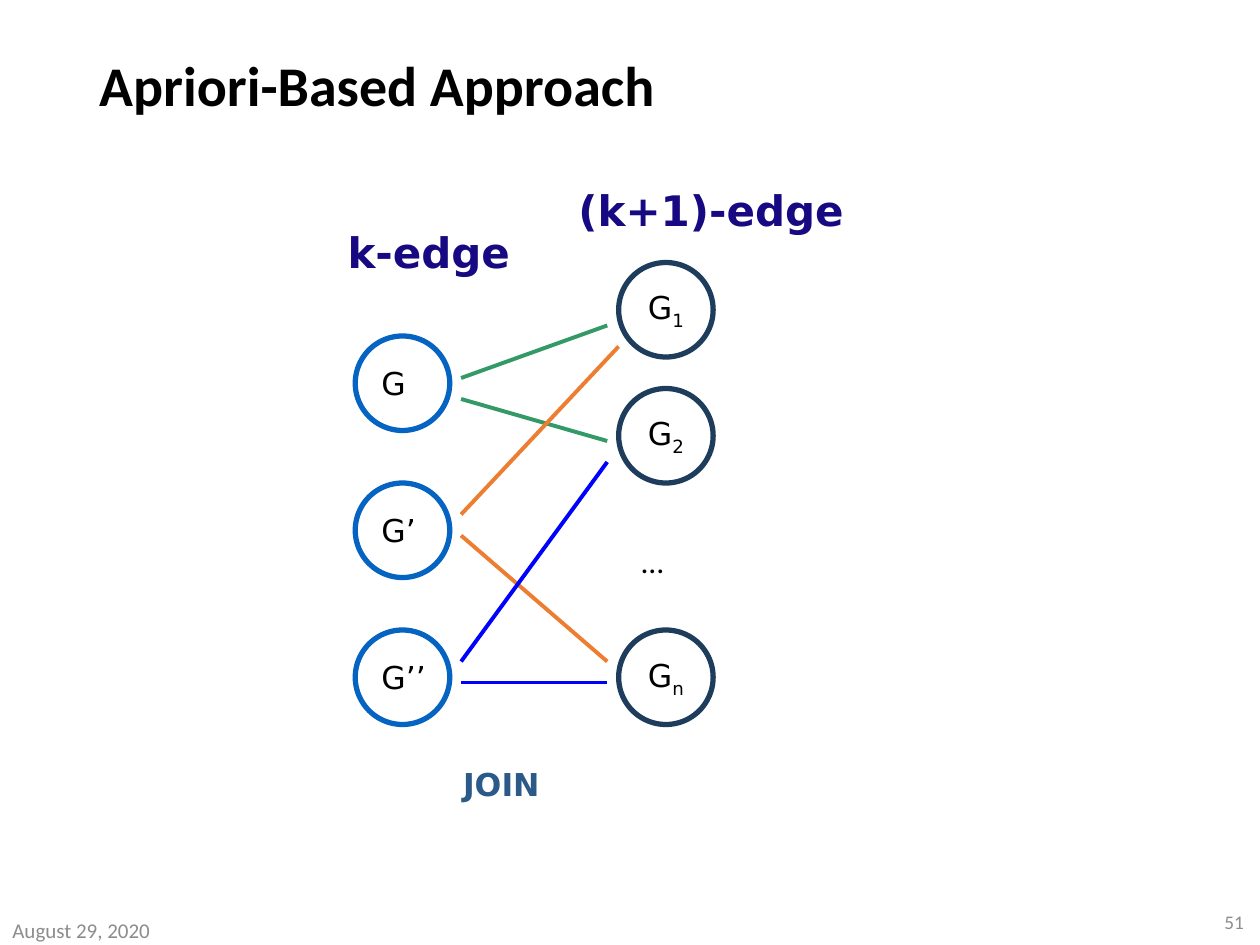
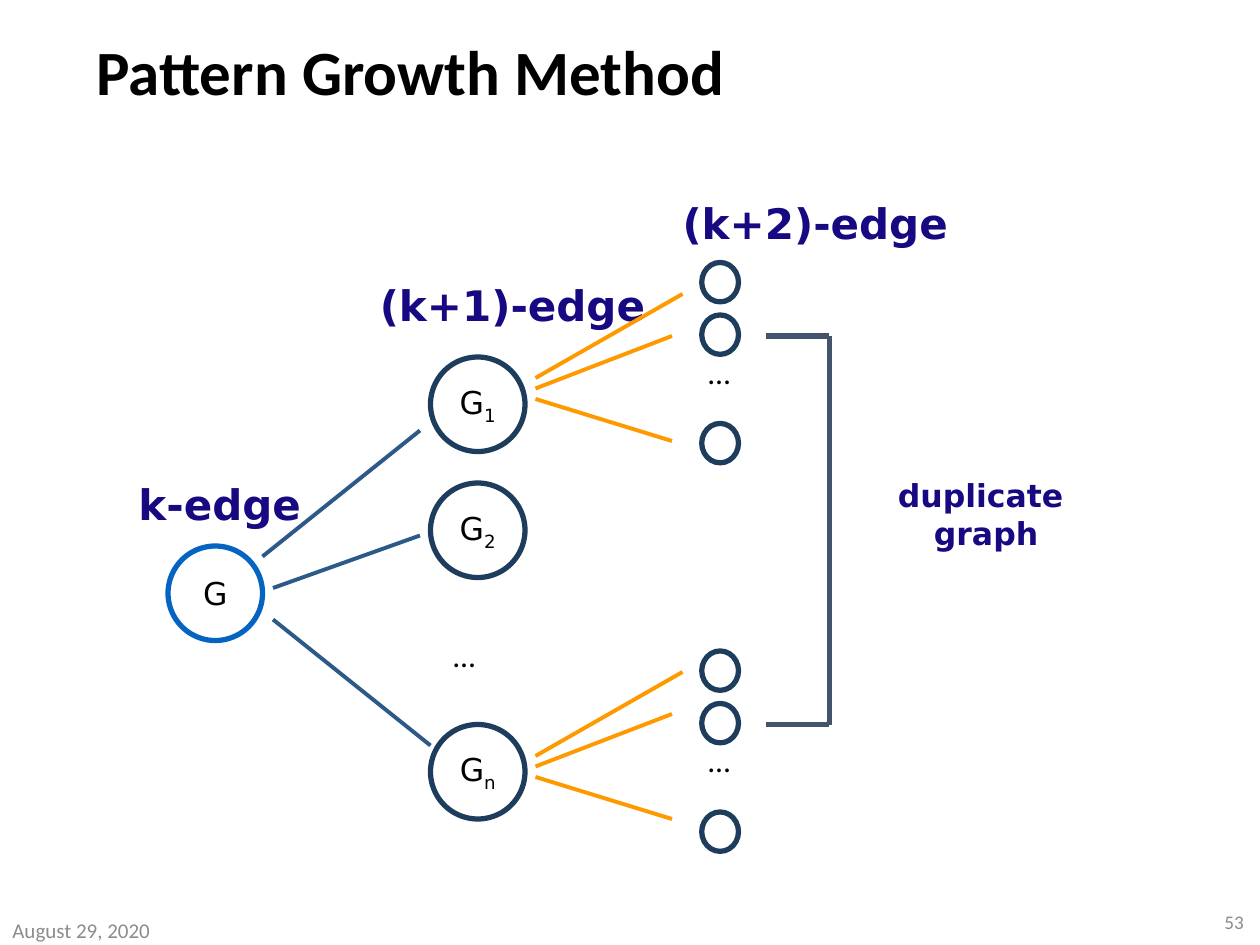
import pptx
import pptx.util
import pptx.dml.color
import pptx.enum.shapes
import pptx.enum.text
import pptx.oxml

Pt = pptx.util.Pt
ALIGN = pptx.enum.text.PP_ALIGN
ANCHOR = pptx.enum.text.MSO_ANCHOR
AUTO_SIZE = pptx.enum.text.MSO_AUTO_SIZE
OVAL = pptx.enum.shapes.MSO_SHAPE.OVAL
STRAIGHT = pptx.enum.shapes.MSO_CONNECTOR.STRAIGHT

# Shared look
BODY, DIAGRAM = "Calibri", "DejaVu Sans"
BLACK, WHITE, GREY = "000000", "FFFFFF", "8C8C8C"
INDIGO, STEEL, SLATE = "170981", "2C5A88", "44546A"
PARENT, CHILD = "0563C1", "1E3D5C"
GREEN, ORANGE, BLUE, AMBER = "339966", "ED7D31", "0000FF", "FF9900"
DATE = "August 29, 2020"
NODE = 54
LEVEL_SIZE = {"k-edge": (107, 36), "(k+1)-edge": (171.5, 36), "(k+2)-edge": (171.5, 36)}

# Children of a pattern: subscript and drop below the first child
CHILDREN = [("1", 0), ("2", 72), ("n", 210)]
CHILD_DOTS = (6, 156)

# Slide "Apriori-Based Approach": text, top
JOINED_X = 203
JOINED = [("G", 192), ("G’", 276), ("G’’", 360)]
JOIN_CHILDREN = (353.5, 150)
JOIN_EDGES = [
    (GREEN, (263.5, 216), (347, 186)),
    (ORANGE, (263.5, 306), (347, 378)),
    (GREEN, (263.5, 228), (347, 252)),
    (ORANGE, (263.5, 294), (353.5, 198)),
    (BLUE, (263.5, 390), (347, 390)),
    (BLUE, (263.5, 378), (347, 264)),
]
JOIN_LEVELS = [("k-edge", 191.5, 126), ("(k+1)-edge", 323.5, 102)]

# Slide "Pattern Growth Method"
GROWTH_ROOT = (96, 312)
GROWTH_CHILDREN = (246, 204)
GROWTH_EDGES = [
    (STEEL, (150, 318), (240, 246)),
    (STEEL, (156, 354), (246, 426)),
    (STEEL, (156, 336), (240, 306)),
]
GROWTH_LEVELS = [("k-edge", 72, 270), ("(k+1)-edge", 210, 156), ("(k+2)-edge", 383, 109.5)]
GRANDCHILD_DROPS = [0, 30, 92]
GRANDCHILD_TOPS = [150, 372]
FAN_TOPS = [216, 432]
FAN = [(0, 390, -48), (6, 384, -24), (12, 384, 36)]  # start drop, end x, end drop
BRACKET = [(438, 192), (474, 192), (474, 414), (438, 414)]


def color(value):
    return pptx.dml.color.RGBColor.from_string(value)


def style(paragraph, font, size, fill, bold=False, align=ALIGN.LEFT):
    paragraph.alignment = align
    for run in paragraph.runs:
        run.font.name, run.font.size, run.font.bold = font, Pt(size), bold
        run.font.color.rgb = color(fill)


def add_text(shapes, box, text, font, size, fill, bold=False, align=ALIGN.LEFT,
             anchor=ANCHOR.TOP, wrap=False, grow=True):
    frame = shapes.add_textbox(*map(Pt, box)).text_frame
    frame.text = text
    frame.word_wrap = wrap
    frame.auto_size = AUTO_SIZE.SHAPE_TO_FIT_TEXT if grow else AUTO_SIZE.NONE
    frame.vertical_anchor = anchor
    for paragraph in frame.paragraphs:
        style(paragraph, font, size, fill, bold, align)


def add_dots(shapes, x, y, width=37.5, **options):
    add_text(shapes, (x, y, width, 41), "…", BODY, 18, BLACK, **options)


def add_circle(shapes, x, y, outline, width=NODE, height=NODE):
    circle = shapes.add_shape(OVAL, Pt(x), Pt(y), Pt(width), Pt(height))
    circle.shadow.inherit = False
    circle.fill.solid()
    circle.fill.fore_color.rgb = color(WHITE)
    circle.line.color.rgb = color(outline)
    circle.line.width = Pt(3)
    return circle


def add_node(shapes, x, y, outline, text, subscript="", align=ALIGN.CENTER):
    frame = add_circle(shapes, x, y, outline).text_frame
    frame.word_wrap = False
    frame.vertical_anchor = ANCHOR.MIDDLE
    label = frame.paragraphs[0]
    label.text = text
    if subscript:
        lowered = label.add_run()
        lowered.text = subscript
        lowered.font._element.set("baseline", "-25000")
    style(label, DIAGRAM, 18, BLACK, align=align)


def add_children(shapes, x, top):
    add_dots(shapes, x + CHILD_DOTS[0], top + CHILD_DOTS[1])
    for subscript, drop in CHILDREN:
        add_node(shapes, x, top + drop, CHILD, "G", subscript)


def add_edge(shapes, stroke, start, end, width=2.25):
    edge = shapes.add_connector(STRAIGHT, *map(Pt, start + end))
    edge.line.color.rgb = color(stroke)
    edge.line.width = Pt(width)
    edge._element.spPr.append(pptx.oxml.parse_xml(
        '<a:effectLst xmlns:a="http://schemas.openxmlformats.org/drawingml/2006/main"/>'))


def add_levels(shapes, levels):
    for text, x, y in levels:
        add_text(shapes, (x, y) + LEVEL_SIZE[text], text, DIAGRAM, 24, INDIGO, bold=True)


def start_slide(deck, heading, box, size, number):
    slide = deck.slides.add_slide(deck.slide_layouts[5])
    title = slide.shapes.title
    title.left, title.top, title.width, title.height = map(Pt, box)
    frame = title.text_frame
    frame.text = heading
    frame.auto_size = AUTO_SIZE.NONE
    frame.vertical_anchor = ANCHOR.MIDDLE
    frame.paragraphs[0].line_spacing = 0.9
    style(frame.paragraphs[0], BODY, size, BLACK, bold=True)

    footer = dict(anchor=ANCHOR.MIDDLE, wrap=True, grow=False)
    add_text(slide.shapes, (556, 518.5, 162, 16.5), number, BODY, 11, GREY,
             align=ALIGN.RIGHT, **footer)
    add_text(slide.shapes, (0, 523.5, 162, 16.5), DATE, BODY, 12, GREY, **footer)
    return slide.shapes


def build_apriori(deck):
    shapes = start_slide(deck, "Apriori-Based Approach", (49.5, 28.8, 621, 43.2), 32, "51")
    add_children(shapes, *JOIN_CHILDREN)
    for text, top in JOINED:
        add_node(shapes, JOINED_X, top, PARENT, text, align=ALIGN.LEFT)
    for edge in JOIN_EDGES:
        add_edge(shapes, *edge)
    add_levels(shapes, JOIN_LEVELS)
    add_text(shapes, (257.5, 433.5, 93, 41), "JOIN", DIAGRAM, 18, STEEL, bold=True)


def build_growth(deck):
    shapes = start_slide(deck, "Pattern Growth Method", (48, 18, 621, 50.4), 36, "53")
    add_children(shapes, *GROWTH_CHILDREN)
    add_node(shapes, *GROWTH_ROOT, PARENT, "G")
    for edge in GROWTH_EDGES:
        add_edge(shapes, *edge)
    add_levels(shapes, GROWTH_LEVELS)

    # Grandchildren and the fans that lead to them
    for top in GRANDCHILD_TOPS:
        family = shapes.add_group_shape().shapes
        add_dots(family, 396, top + 48, width=30, align=ALIGN.CENTER, wrap=True)
        for drop in GRANDCHILD_DROPS:
            add_circle(family, 401, top + drop, CHILD, 21, 22.5)
    for top in FAN_TOPS:
        for start_drop, end_x, end_drop in FAN:
            add_edge(shapes, AMBER, (306, top + start_drop), (end_x, top + end_drop))

    # Bracket joining the duplicates
    for start, end in zip(BRACKET, BRACKET[1:]):
        add_edge(shapes, SLATE, start, end, width=3)
    add_text(shapes, (479, 268.5, 169, 74), "duplicate \ngraph", DIAGRAM, 18, INDIGO,
             bold=True, align=ALIGN.CENTER)


def main():
    deck = pptx.Presentation()
    deck.slide_width, deck.slide_height = Pt(720), Pt(540)
    build_apriori(deck)
    build_growth(deck)
    deck.save("out.pptx")


if __name__ == "__main__":
    main()
